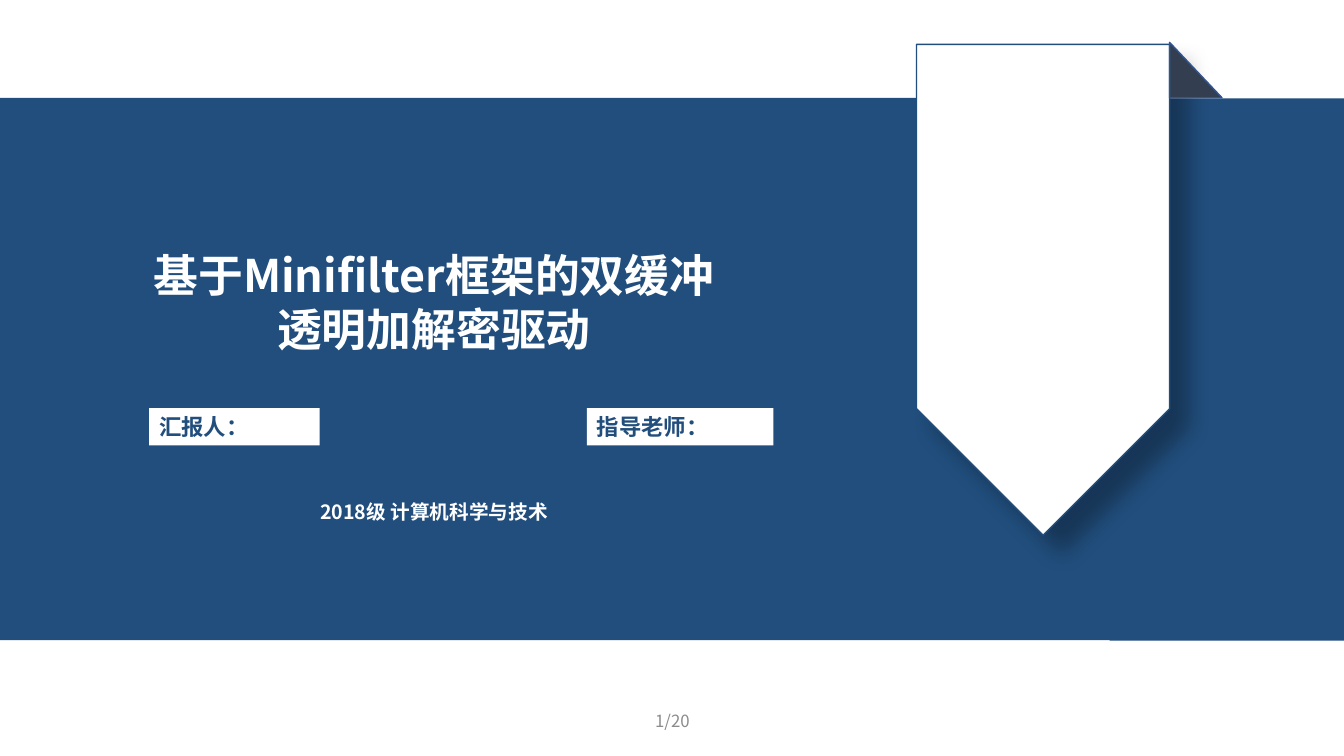
"""Build the title slide with a blue band, a folded ribbon and the talk details."""
import pptx
import pptx.dml.color
import pptx.enum.shapes
import pptx.enum.text
import pptx.oxml
import pptx.oxml.ns
import pptx.util
from pptx.util import Inches

SHAPE = pptx.enum.shapes.MSO_SHAPE
ALIGN = pptx.enum.text.PP_ALIGN
ANCHOR = pptx.enum.text.MSO_ANCHOR
FIT = pptx.enum.text.MSO_AUTO_SIZE


class TitleSlide:
    """Slide style and one method per kind of element."""

    font = "Noto Sans CJK SC"
    colors = {
        "blue": "214E7D",
        "white": "FFFFFF",
        "fold": "333F50",
        "fold_edge": "325491",
        "gray": "8C8C8C",
        "shadow": "000000",
    }

    def __init__(self, prs):
        self.slide = prs.slides.add_slide(prs.slide_layouts[6])

    def rgb(self, name):
        return pptx.dml.color.RGBColor.from_string(self.colors[name])

    def shape(self, kind, box, fill, line=None, rotation=0):
        sp = self.slide.shapes.add_shape(kind, *map(Inches, box))
        sp.rotation = rotation
        sp.shadow.inherit = False
        sp.fill.solid()
        sp.fill.fore_color.rgb = self.rgb(fill)
        if line:
            sp.line.color.rgb = self.rgb(line)
            sp.line.width = pptx.util.Pt(1)
        else:
            sp.line.fill.background()
        return sp

    def set_text(self, sp, text, size, color, bold=True, align=ALIGN.CENTER,
                 anchor=ANCHOR.TOP, fit=FIT.SHAPE_TO_FIT_TEXT):
        tf = sp.text_frame
        tf.text = text
        tf.word_wrap = True
        tf.auto_size = fit
        tf.vertical_anchor = anchor
        p = tf.paragraphs[0]
        p.alignment = align
        r = p.runs[0]
        r.font.name = self.font
        r.font.size = pptx.util.Pt(size)
        r.font.bold = bold
        r.font.color.rgb = self.rgb(color)
        ea = pptx.oxml.parse_xml(
            f'<a:ea {pptx.oxml.ns.nsdecls("a")} typeface="{self.font}"/>')
        r.font._element.find(pptx.oxml.ns.qn("a:latin")).addnext(ea)

    def text(self, box, text, size, color, **style):
        sp = self.slide.shapes.add_textbox(*map(Inches, box))
        self.set_text(sp, text, size, color, **style)

    def label(self, box, text):
        sp = self.shape(SHAPE.RECTANGLE, box, "white")
        self.set_text(sp, text, 16, "blue", align=ALIGN.LEFT)

    def cast_shadow(self, sp, alpha, blur, dist, angle):
        effects = sp._element.spPr.find(pptx.oxml.ns.qn("a:effectLst"))
        effects.append(pptx.oxml.parse_xml(
            f'<a:outerShdw {pptx.oxml.ns.nsdecls("a")} '
            f'blurRad="{int(pptx.util.Pt(blur))}" '
            f'dist="{int(pptx.util.Pt(dist))}" '
            f'dir="{angle * 60000}" algn="tl" rotWithShape="0">'
            f'<a:srgbClr val="{self.colors["shadow"]}">'
            f'<a:alpha val="{alpha * 1000}"/></a:srgbClr></a:outerShdw>'))


def main():
    prs = pptx.Presentation()
    prs.slide_width = Inches(13.33)
    prs.slide_height = Inches(7.5)
    s = TitleSlide(prs)

    s.shape(SHAPE.RECTANGLE, (0, 0.97, 11.01, 5.38), "blue")
    s.shape(SHAPE.RECTANGLE, (9.48, 2.5, 5.38, 2.33), "blue", rotation=90)
    s.label((1.48, 4.05, 1.69, 0.37), "汇报人：")
    s.text((0.8, 4.91, 7.01, 0.34), "2018级 计算机科学与技术", 14, "white")

    ribbon = s.shape(SHAPE.PENTAGON, (7.91, 1.62, 4.87, 2.51), "white",
                     line="blue", rotation=90)
    s.cast_shadow(ribbon, alpha=30, blur=15, dist=18, angle=45)
    s.shape(SHAPE.RIGHT_TRIANGLE, (11.6, 0.42, 0.52, 0.55), "fold",
            line="fold_edge")

    s.text((4.42, 6.95, 4.5, 0.4), "1/20", 12, "gray", bold=False,
           anchor=ANCHOR.MIDDLE, fit=FIT.NONE)
    s.label((5.82, 4.05, 1.85, 0.37), "指导老师：")
    s.text((1.25, 2.41, 6.11, 1.18),
           "基于Minifilter框架的双缓冲透明加解密驱动", 32, "white")

    prs.save("out.pptx")


if __name__ == "__main__":
    main()
